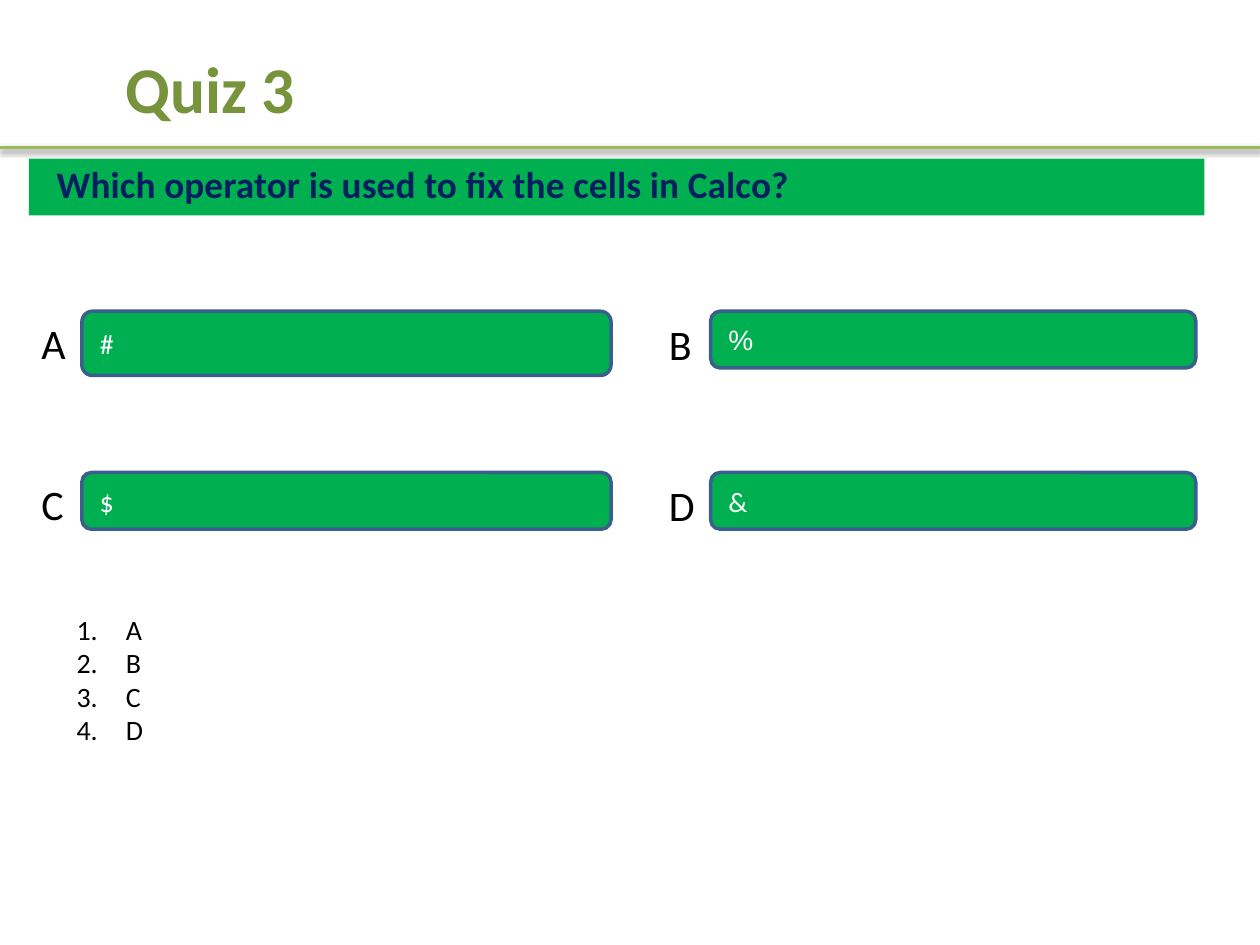
import pptx
import pptx.util
import pptx.dml.color
import pptx.enum.shapes
import pptx.enum.text
import pptx.oxml
import pptx.oxml.ns
from lxml import etree

Inches = pptx.util.Inches
Pt = pptx.util.Pt
RGBColor = pptx.dml.color.RGBColor
Shape = pptx.enum.shapes.MSO_SHAPE
Align = pptx.enum.text.PP_ALIGN
Anchor = pptx.enum.text.MSO_ANCHOR

GREEN = RGBColor(0x00, 0xB0, 0x50)
OLIVE = RGBColor(0x77, 0x93, 0x3C)
LIME = RGBColor(0x9B, 0xBB, 0x59)
NAVY = RGBColor(0x00, 0x1F, 0x60)
BLUE = RGBColor(0x3A, 0x5F, 0x8C)
WHITE = RGBColor(0xFF, 0xFF, 0xFF)
BLACK = RGBColor(0x00, 0x00, 0x00)

TITLE = "Quiz 3"
QUERY = "Which operator is used to fix the cells in Calco?"
OPTIONS = [
    ("A", "#", "Calibri", 0.51),
    ("B", "%", "Arial", 0.45),
    ("C", "$", "Calibri", 0.45),
    ("D", "&", "Calibri", 0.45),
]
COLS = [(0.23, 0.65, 4.2), (5.21, 5.64, 3.85)]
TOP, STEP = 2.47, 1.28
PAD = (0.1, 0.05, 0.1, 0.05)


def add_run(para, text, size, color, font="Calibri", bold=False):
    run = para.add_run()
    run.text = text
    run.font.name = font
    run.font.size = Pt(size)
    run.font.bold = bold
    run.font.color.rgb = color
    return run


def set_frame(shape, pad=PAD, anchor=Anchor.TOP):
    frame = shape.text_frame
    frame.word_wrap = True
    frame.vertical_anchor = anchor
    (frame.margin_left, frame.margin_top,
     frame.margin_right, frame.margin_bottom) = map(Inches, pad)
    return frame


def add_text(slide, box, pad=PAD):
    return set_frame(slide.shapes.add_textbox(*map(Inches, box)), pad)


def add_box(slide, kind, box):
    shape = slide.shapes.add_shape(kind, *map(Inches, box))
    shape.shadow.inherit = False
    shape.fill.solid()
    shape.fill.fore_color.rgb = GREEN
    shape.line.fill.background()
    return shape


def set_indent(para, left, first):
    props = para._p.get_or_add_pPr()
    props.set("marL", str(Inches(left)))
    props.set("indent", str(Inches(first)))
    return props


def add_option(slide, index, option):
    name, sign, font, height = option
    row, col = divmod(index, 2)
    edge, left, width = COLS[col]
    top = TOP + row * STEP

    box = add_box(slide, Shape.ROUNDED_RECTANGLE, (left, top, width, height))
    box.line.color.rgb = BLUE
    box.line.width = Pt(2)
    para = set_frame(box, anchor=Anchor.MIDDLE).paragraphs[0]
    para.alignment = Align.LEFT
    set_indent(para, 0.28, -0.26)
    add_run(para, sign, 16, WHITE, font)

    label = add_text(slide, (edge, top + 0.01 * col, 0.21, 0.51))
    add_run(label.paragraphs[0], name, 24, BLACK)


def add_rule(slide):
    ends = map(Inches, (0, 1.17, 10, 1.17))
    rule = slide.shapes.add_connector(pptx.enum.shapes.MSO_CONNECTOR.STRAIGHT, *ends)
    rule.line.color.rgb = LIME
    rule.line.width = Pt(2)
    qn = pptx.oxml.ns.qn
    glow = etree.SubElement(rule._element.spPr, qn("a:effectLst"))
    shade = etree.SubElement(glow, qn("a:outerShdw"), blurRad=str(Pt(3.1)),
                             dist=str(Pt(1.6)), dir="5400000", rotWithShape="0")
    tint = etree.SubElement(shade, qn("a:srgbClr"), val=str(BLACK))
    etree.SubElement(tint, qn("a:alpha"), val="38000")


def main():
    deck = pptx.Presentation()
    deck.slide_width, deck.slide_height = Inches(10), Inches(7.5)
    slide = deck.slides.add_slide(deck.slide_layouts[6])

    para = add_text(slide, (-0.25, 0.25, 3.84, 0.64), (0.13,) * 4).paragraphs[0]
    para.alignment = Align.CENTER
    add_run(para, TITLE, 37.3, OLIVE, bold=True)

    add_box(slide, Shape.RECTANGLE, (0.23, 1.26, 9.33, 0.45))
    para = add_text(slide, (0.44, 1.26, 9.05, 0.38), (0, 0.02, 0, 0)).paragraphs[0]
    para.space_before = Pt(1.3)
    set_indent(para, 0.01, 0)
    run = add_run(para, QUERY, 21.3, NAVY, bold=True)
    run.font._element.set("spc", "10")

    for index, option in enumerate(OPTIONS):
        add_option(slide, index, option)

    frame = add_text(slide, (0.51, 4.81, 5.7, 1.45))
    for index, option in enumerate(OPTIONS):
        para = frame.add_paragraph() if index else frame.paragraphs[0]
        props = set_indent(para, 0.39, -0.39)
        etree.SubElement(props, pptx.oxml.ns.qn("a:buAutoNum"), type="arabicPeriod")
        add_run(para, option[0], 16, BLACK)

    add_rule(slide)
    deck.save("out.pptx")


if __name__ == "__main__":
    main()
